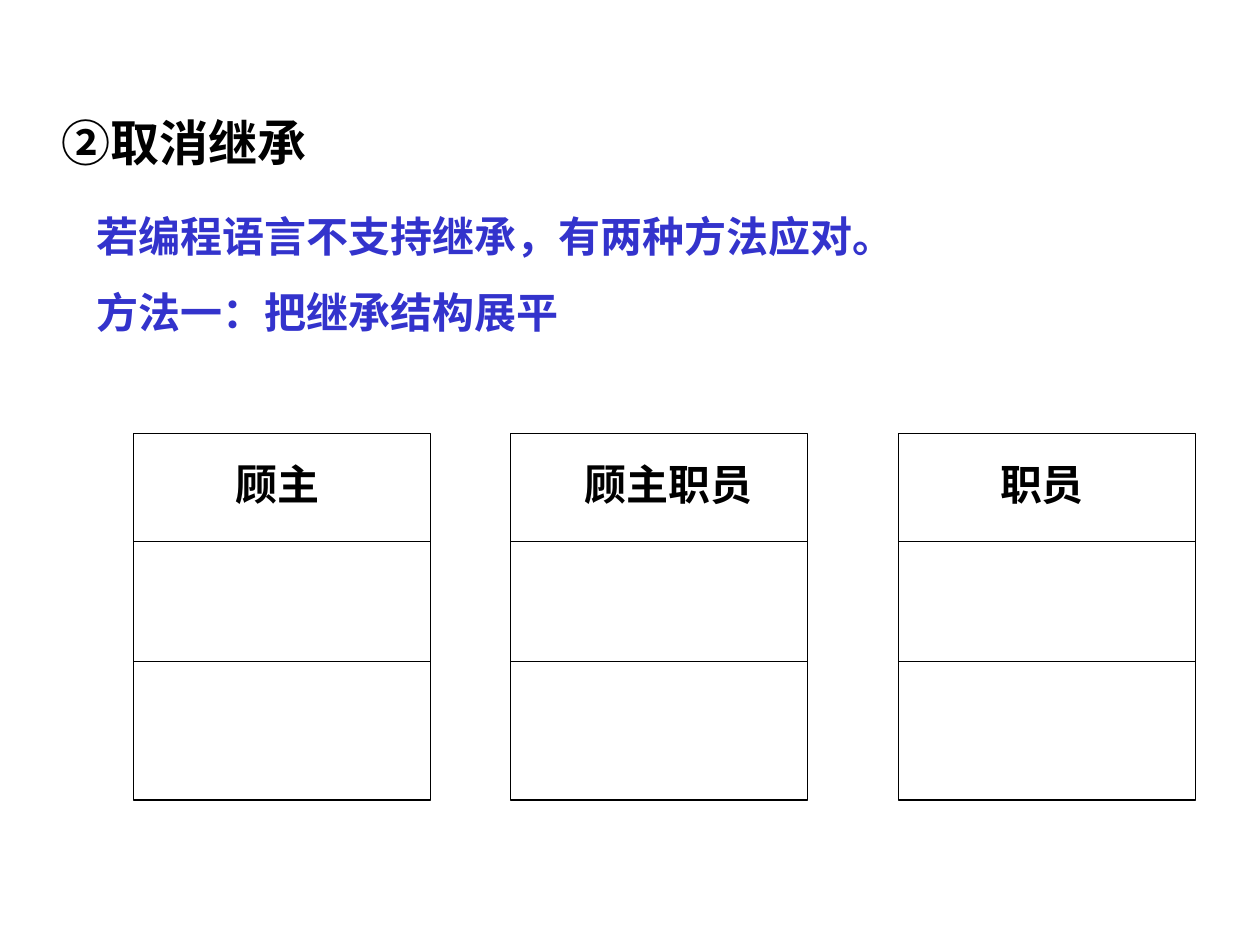
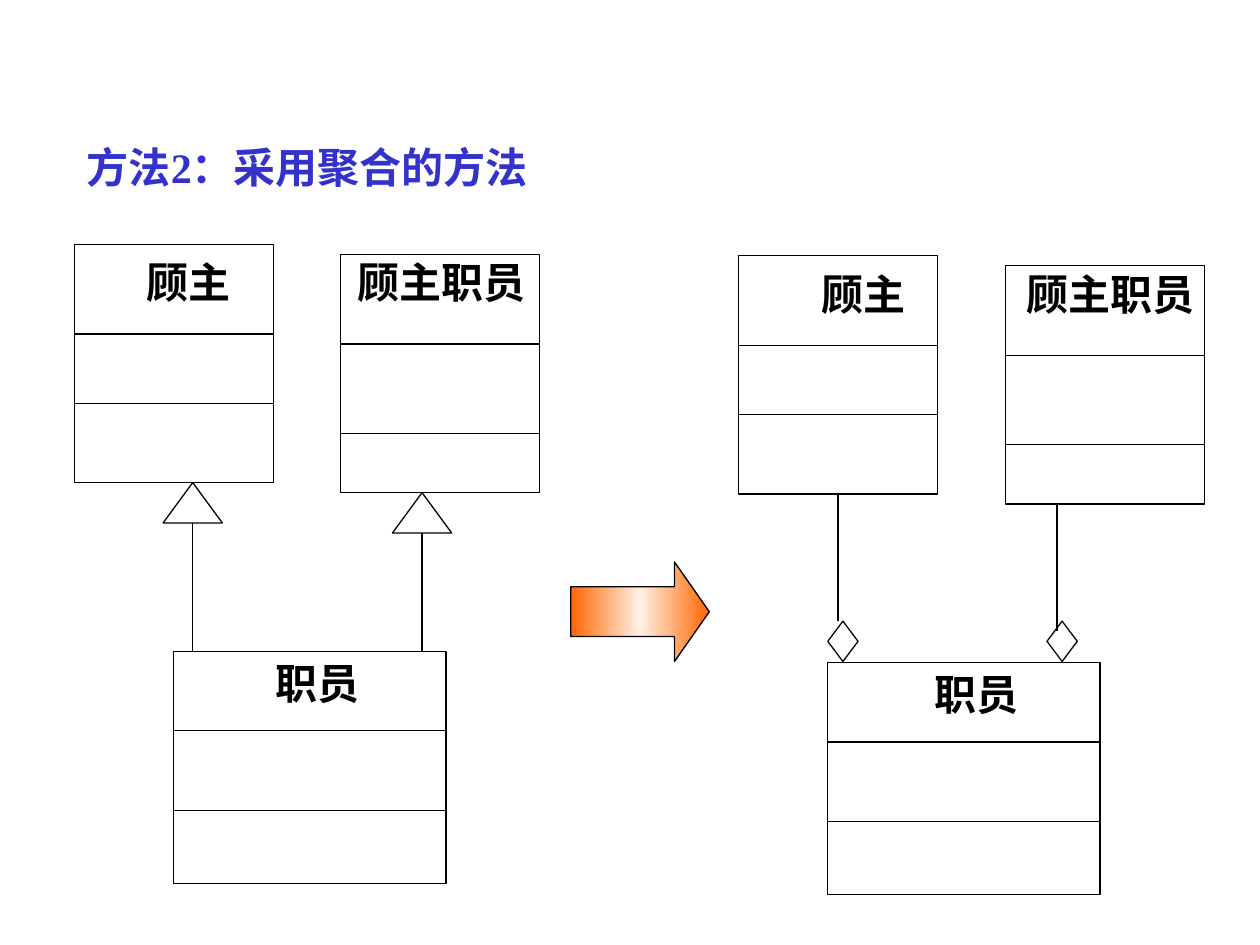
from copy import deepcopy

from pptx import Presentation
from pptx.dml.color import RGBColor
from pptx.enum.shapes import MSO_CONNECTOR, MSO_SHAPE as SHAPE
from pptx.enum.text import MSO_ANCHOR, MSO_AUTO_SIZE, PP_ALIGN as ALIGN
from pptx.oxml.ns import qn
from pptx.util import Inches, Pt

BLACK = RGBColor(0x00, 0x00, 0x00)
BLUE = RGBColor(0x33, 0x33, 0xCC)
ORANGE = RGBColor(0xFF, 0x66, 0x00)
CREAM = RGBColor(0xFF, 0xF1, 0xE7)
FONT = "Times New Roman"
LINE_WIDTH = Pt(0.75)


# Text
def write(sp, lines, size=24, color=BLACK, align=ALIGN.LEFT):
    tf = sp.text_frame
    tf.word_wrap = True
    tf.auto_size = MSO_AUTO_SIZE.NONE
    tf.vertical_anchor = MSO_ANCHOR.TOP
    tf.text = "\n".join(lines)
    for i, p in enumerate(tf.paragraphs):
        p.alignment = align
        p.space_before = Pt(15 if i else 0)
        for r in p.runs:
            r.font.name = FONT
            r.font.size = Pt(size)
            r.font.bold = True
            r.font.color.rgb = color


def add_text(slide, lines, left, top, width, height, **style):
    sp = slide.shapes.add_textbox(Inches(left), Inches(top), Inches(width), Inches(height))
    write(sp, lines, **style)


def add_titled_slide(prs, title, left, top, width, height, **style):
    slide = prs.slides.add_slide(prs.slide_layouts[5])
    sp = slide.shapes.title
    sp.left, sp.top = Inches(left), Inches(top)
    sp.width, sp.height = Inches(width), Inches(height)
    write(sp, [title], **style)
    return slide


# Outlined shapes and lines
def add_outline(slide, kind, left, top, width, height):
    sp = slide.shapes.add_shape(kind, Inches(left), Inches(top), Inches(width), Inches(height))
    sp.shadow.inherit = False
    sp.fill.background()
    sp.line.color.rgb = BLACK
    sp.line.width = LINE_WIDTH
    return sp


def add_line(slide, x1, y1, x2, y2):
    line = slide.shapes.add_connector(
        MSO_CONNECTOR.STRAIGHT, Inches(x1), Inches(y1), Inches(x2), Inches(y2))
    line.line.color.rgb = BLACK
    line.line.width = LINE_WIDTH
    sp_pr = line._element.spPr
    sp_pr.append(sp_pr.makeelement(qn("a:effectLst"), {}))


# UML parts: dividers and label are measured from the top left of the box
def add_class_box(slide, name, left, top, width, height, dividers, label):
    add_outline(slide, SHAPE.RECTANGLE, left, top, width, height)
    for dy in dividers:
        add_line(slide, left, top + dy, left + width, top + dy)
    dx, dy, label_width = label
    add_text(slide, [name], left + dx, top + dy, label_width, 0.5, align=ALIGN.CENTER)


def add_generalization(slide, x, top, bottom):
    add_line(slide, x, bottom, x, top + 0.32)
    add_outline(slide, SHAPE.ISOSCELES_TRIANGLE, x - 0.235, top, 0.47, 0.32)


def add_aggregation(slide, x, top, bottom):
    add_line(slide, x, bottom, x, top)
    add_outline(slide, SHAPE.DIAMOND, x - 0.08, 4.93, 0.24, 0.32)


def add_gradient_arrow(slide, left, top, width, height):
    sp = add_outline(slide, SHAPE.RIGHT_ARROW, left, top, width, height)
    sp.adjustments[0], sp.adjustments[1] = 0.5, 0.35
    sp.fill.gradient()
    sp.fill.gradient_angle = 0
    stop_list = sp._element.spPr.find(qn("a:gradFill")).find(qn("a:gsLst"))
    stop_list.append(deepcopy(stop_list[-1]))
    stops = zip(sp.fill.gradient_stops, (0, 0.5, 1), (ORANGE, CREAM, ORANGE))
    for stop, position, color in stops:
        stop.position = position
        stop.color.rgb = color


def add_class_trio(slide, employer, both, employee):
    """Each class is given as left, top, label offset x, label offset y, label width."""
    trio = (
        ("顾主", employer, (1.58, 1.89), (0.71, 1.26)),
        ("顾主职员", both, (1.58, 1.89), (0.71, 1.42)),
        ("职员", employee, (2.16, 1.84), (0.63, 1.26)),
    )
    for name, (left, top, *label), size, dividers in trio:
        add_class_box(slide, name, left, top, *size, dividers, label)


def build_flattening(prs):
    slide = add_titled_slide(prs, "②取消继承", 0.39, 0.84, 3.35, 0.6, size=28)
    add_text(slide, ["若编程语言不支持继承，有两种方法应对。", "方法一：把继承结构展平"],
             0.67, 1.62, 6.85, 1.11, color=BLUE)
    classes = (
        ("顾主", 1.06, (0.55, 0.15, 1.18)),
        ("顾主职员", 4.05, (0.22, 0.15, 2.07)),
        ("职员", 7.13, (0.55, 0.15, 1.18)),
    )
    for name, left, label in classes:
        add_class_box(slide, name, left, 3.44, 2.36, 2.91, (0.86, 1.81), label)


def build_aggregation(prs):
    slide = add_titled_slide(prs, "方法2：采用聚合的方法", 0.59, 1.07, 7.88, 0.5, color=BLUE)

    # Inheritance on the left
    add_class_trio(slide, (0.59, 1.94, 0.39, 0.05, 1.03),
                   (2.7, 2.02, -0.06, -0.03, 1.73), (1.38, 5.17, 0.63, 0, 1.02))
    add_generalization(slide, 1.53, 3.83, 5.17)
    add_generalization(slide, 3.35, 3.91, 5.17)

    # Aggregation on the right
    add_class_trio(slide, (5.86, 2.03, 0.4, 0.05, 1.18),
                   (7.98, 2.11, -0.07, -0.03, 1.81), (6.57, 5.26, 0.63, 0, 1.1))
    add_aggregation(slide, 6.65, 3.91, 4.93)
    add_aggregation(slide, 8.39, 3.99, 5.01)

    add_gradient_arrow(slide, 4.53, 4.46, 1.1, 0.79)


def main():
    prs = Presentation()
    prs.slide_width, prs.slide_height = Inches(10), Inches(7.5)
    build_flattening(prs)
    build_aggregation(prs)
    prs.save("out.pptx")


if __name__ == "__main__":
    main()
